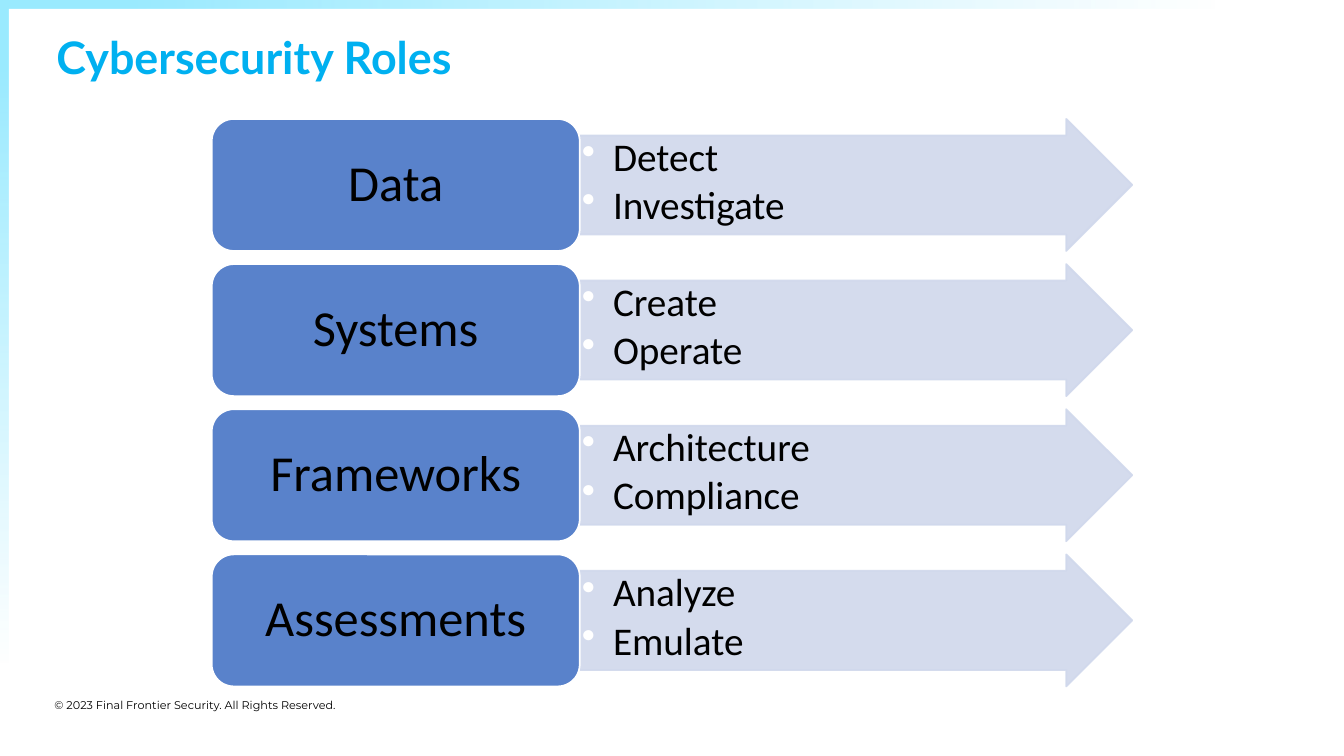
from lxml import etree
from pptx import Presentation
from pptx.dml.color import RGBColor
from pptx.enum.shapes import MSO_SHAPE
from pptx.enum.text import MSO_ANCHOR, PP_ALIGN
from pptx.oxml.ns import qn
from pptx.util import Inches, Pt

RECTANGLE = MSO_SHAPE.RECTANGLE
ROUNDED = MSO_SHAPE.ROUNDED_RECTANGLE
ARROW = MSO_SHAPE.RIGHT_ARROW
TOP, MIDDLE = MSO_ANCHOR.TOP, MSO_ANCHOR.MIDDLE
LEFT, CENTER = PP_ALIGN.LEFT, PP_ALIGN.CENTER

BLACK = RGBColor(0x00, 0x00, 0x00)
WHITE = RGBColor(0xFF, 0xFF, 0xFF)
TITLE_BLUE = RGBColor(0x00, 0xB0, 0xF0)
EDGE_CYAN = RGBColor(0x9B, 0xEB, 0xFF)
LABEL_BLUE = RGBColor(0x59, 0x82, 0xCB)
ARROW_BLUE = RGBColor(0xD0, 0xD8, 0xEC)

ROLES = [
    ("Data", ["Detect", "Investigate"]),
    ("Systems", ["Create", "Operate"]),
    ("Frameworks", ["Architecture", "Compliance"]),
    ("Assessments", ["Analyze", "Emulate"]),
]
FIRST_ROW, ROW_STEP, ROW_HEIGHT = 1.18, 1.44, 1.31
LABEL_LEFT, LABEL_WIDTH = 2.1, 3.65
ARROW_LEFT, ARROW_WIDTH = LABEL_LEFT + LABEL_WIDTH, 5.48


def set_alpha(color_element, percent):
    alpha = etree.SubElement(color_element, qn("a:alpha"))
    alpha.set("val", str(percent * 1000))


def add_bullet(para, indent, color):
    properties = para._p.get_or_add_pPr()
    properties.set("marL", str(Inches(indent)))
    properties.set("indent", str(-Inches(indent)))
    bullet_color = etree.SubElement(properties, qn("a:buClr"))
    etree.SubElement(bullet_color, qn("a:srgbClr")).set("val", str(color))
    etree.SubElement(properties, qn("a:buChar")).set("char", "•")


def write_text(shape, lines, *, font, size, color=BLACK, bold=False,
               align=LEFT, anchor=TOP, insets=(0, 0), wrap=True,
               line_spacing=None, gap=0, bullet_color=None):
    frame = shape.text_frame
    frame.word_wrap = wrap
    frame.vertical_anchor = anchor
    frame.margin_left = frame.margin_right = Inches(insets[0])
    frame.margin_top = frame.margin_bottom = Inches(insets[1])
    for index, line in enumerate(lines):
        para = frame.add_paragraph() if index else frame.paragraphs[0]
        para.alignment = align
        para.line_spacing = line_spacing
        if index:
            para.space_before = Pt(gap)
        if bullet_color is not None:
            para.level = 1
            add_bullet(para, 0.31, bullet_color)
        span = para.add_run()
        span.text = line
        span.font.name = font
        span.font.size = Pt(size)
        span.font.bold = bold
        span.font.color.rgb = color


def add_text(page, text, left, top, width, height, **style):
    box = page.shapes.add_textbox(
        Inches(left), Inches(top), Inches(width), Inches(height))
    write_text(box, [text], **style)


def add_shape(page, kind, left, top, width, height):
    shape = page.shapes.add_shape(
        kind, Inches(left), Inches(top), Inches(width), Inches(height))
    shape.shadow.inherit = False
    return shape


def add_fading_edge(page, left, top, width, height, angle):
    edge = add_shape(page, RECTANGLE, left, top, width, height)
    edge.line.fill.background()
    edge.fill.gradient()
    edge.fill.gradient_angle = angle
    for stop, position in zip(edge.fill.gradient_stops, (0.1, 1)):
        stop.color.rgb = EDGE_CYAN
        stop.position = position
    colors = list(edge.element.spPr.iter(qn("a:srgbClr")))
    set_alpha(colors[-1], 0)


def paint(shape, fill, line):
    shape.fill.solid()
    shape.fill.fore_color.rgb = fill
    shape.line.color.rgb = line
    shape.line.width = Pt(1.25)


def add_role(page, top, name, tasks):
    # Arrow with the tasks
    arrow = add_shape(page, ARROW, ARROW_LEFT, top, ARROW_WIDTH, ROW_HEIGHT)
    arrow.adjustments[0] = 0.75
    arrow.adjustments[1] = 0.5
    paint(arrow, ARROW_BLUE, ARROW_BLUE)
    for color in arrow.element.spPr.iter(qn("a:srgbClr")):
        set_alpha(color, 90)
    write_text(arrow, tasks, font="Calibri", size=28, insets=(0.02, 0.02),
               line_spacing=0.9, gap=4.2, bullet_color=WHITE)

    # Label with the role
    label = add_shape(page, ROUNDED, LABEL_LEFT, top, LABEL_WIDTH, ROW_HEIGHT)
    label.adjustments[0] = 0.167
    paint(label, LABEL_BLUE, WHITE)
    write_text(label, [name], font="Calibri", size=36, align=CENTER,
               anchor=MIDDLE, insets=(0.15, 0.07), line_spacing=0.9)


def main():
    deck = Presentation()
    deck.slide_width, deck.slide_height = Inches(13.33), Inches(7.5)
    page = deck.slides.add_slide(deck.slide_layouts[6])

    # Fading edges at the left and the top
    add_fading_edge(page, 0, 0, 0.08, 6.58, angle=270)
    add_fading_edge(page, 0.07, 0, 12, 0.08, angle=0)

    # Footer and title
    add_text(page, "© 2023 Final Frontier Security. All Rights Reserved.",
             0.54, 6.93, 6.12, 0.4, font="Montserrat", size=8)
    add_text(page, "Cybersecurity Roles", 0.56, 0.36, 10.12, 1.1,
             font="Lato", size=32, color=TITLE_BLUE, bold=True,
             wrap=False, line_spacing=0.9)

    # One row for each role
    for row, (name, tasks) in enumerate(ROLES):
        add_role(page, FIRST_ROW + row * ROW_STEP, name, tasks)

    deck.save("out.pptx")


if __name__ == "__main__":
    main()
